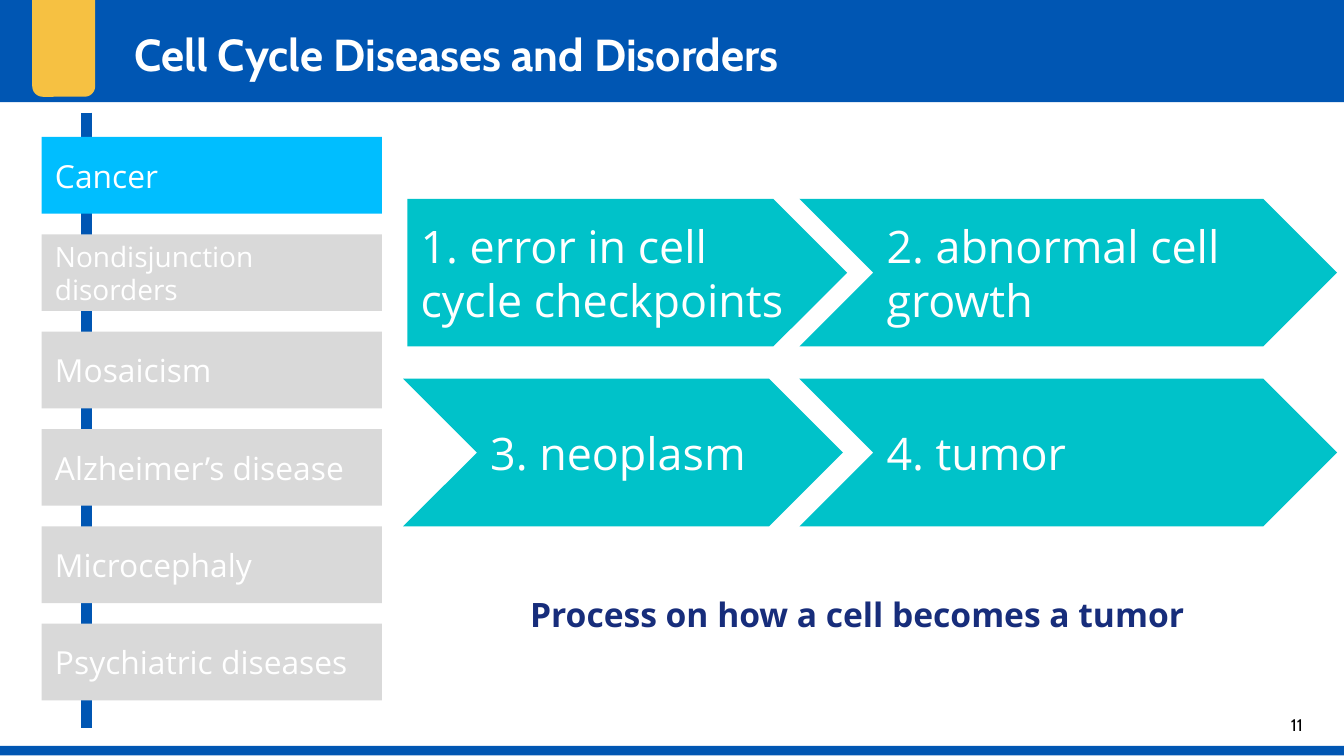
from dataclasses import dataclass

from lxml import etree
from pptx import Presentation
from pptx.dml.color import RGBColor
from pptx.enum.shapes import MSO_CONNECTOR, MSO_SHAPE
from pptx.enum.text import MSO_ANCHOR, MSO_AUTO_SIZE, PP_ALIGN
from pptx.oxml.ns import qn
from pptx.util import Cm, Pt

RECTANGLE = MSO_SHAPE.RECTANGLE
ROUNDED = MSO_SHAPE.ROUNDED_RECTANGLE
PENTAGON = MSO_SHAPE.PENTAGON
CHEVRON = MSO_SHAPE.CHEVRON
STRAIGHT = MSO_CONNECTOR.STRAIGHT
LEFT, CENTER = PP_ALIGN.LEFT, PP_ALIGN.CENTER
TOP, MIDDLE = MSO_ANCHOR.TOP, MSO_ANCHOR.MIDDLE


@dataclass(frozen=True)
class Theme:
    heading_font: str = "Cabin"
    body_font: str = "Open Sans"
    blue: str = "0056B3"
    yellow: str = "F6C142"
    active: str = "00BEFF"
    inactive: str = "D9D9D9"
    teal: str = "00C2C9"
    navy: str = "172D7B"
    white: str = "FFFFFF"
    black: str = "000000"
    title_size: int = 24
    step_size: int = 24
    caption_size: int = 18
    topic_size: int = 17
    long_topic_size: int = 15
    number_size: int = 9


@dataclass(frozen=True)
class Area:
    """Left, top, width and height in centimetres."""
    left: float
    top: float
    width: float
    height: float

    def lengths(self) -> tuple:
        return Cm(self.left), Cm(self.top), Cm(self.width), Cm(self.height)


@dataclass(frozen=True)
class Style:
    size: int
    color: str
    font: str
    bold: bool = False
    align: PP_ALIGN = LEFT
    anchor: MSO_ANCHOR = MIDDLE


@dataclass(frozen=True)
class Topic:
    name: str
    fill: str
    size: int


@dataclass(frozen=True)
class Step:
    label: str
    kind: MSO_SHAPE
    left: float
    row: int
    width: float


THEME = Theme()
INSET = Cm(0.25)

TOPIC_AREA = Area(0.79, 2.59, 6.43, 1.45)
TOPIC_PITCH = 1.84
TOPICS = [
    Topic("Cancer", THEME.active, THEME.topic_size),
    Topic("Nondisjunction disorders", THEME.inactive, THEME.long_topic_size),
    Topic("Mosaicism", THEME.inactive, THEME.topic_size),
    Topic("Alzheimer’s disease", THEME.inactive, THEME.topic_size),
    Topic("Microcephaly", THEME.inactive, THEME.topic_size),
    Topic("Psychiatric diseases", THEME.inactive, THEME.topic_size),
]

STEP_TOP, STEP_HEIGHT, STEP_PITCH = 3.76, 2.79, 3.4
STEPS = [
    Step("1. error in cell cycle checkpoints", PENTAGON, 7.7, 0, 8.31),
    Step("2. abnormal cell growth", CHEVRON, 15.11, 0, 10.16),
    Step("3. neoplasm", CHEVRON, 7.62, 1, 8.31),
    Step("4. tumor", CHEVRON, 15.11, 1, 10.16),
]


def write(shape, text: str, style: Style) -> None:
    frame = shape.text_frame
    frame.text = text
    frame.word_wrap = True
    frame.auto_size = MSO_AUTO_SIZE.NONE
    frame.vertical_anchor = style.anchor
    frame.margin_left = frame.margin_right = INSET
    frame.margin_top = frame.margin_bottom = INSET
    para = frame.paragraphs[0]
    para.alignment = style.align
    for span in para.runs:
        span.font.name = style.font
        span.font.size = Pt(style.size)
        span.font.bold = style.bold
        span.font.color.rgb = RGBColor.from_string(style.color)


def add_block(page, kind: MSO_SHAPE, area: Area, fill: str):
    block = page.shapes.add_shape(kind, *area.lengths())
    block.shadow.inherit = False
    block.fill.solid()
    block.fill.fore_color.rgb = RGBColor.from_string(fill)
    block.line.fill.background()
    return block


def add_text(page, area: Area, text: str, style: Style):
    box = page.shapes.add_textbox(*area.lengths())
    write(box, text, style)
    return box


def add_title(page, area: Area, text: str) -> None:
    title = page.shapes.title
    title.left, title.top, title.width, title.height = area.lengths()
    write(title, text, Style(THEME.title_size, THEME.white, THEME.heading_font,
                             bold=True, anchor=TOP))
    # Bring the title in front of the header band
    page.shapes._spTree.append(title._element)


def add_spine(page, x: float, top: float, bottom: float) -> None:
    spine = page.shapes.add_connector(STRAIGHT, Cm(x), Cm(top), Cm(x), Cm(bottom))
    spine.line.color.rgb = RGBColor.from_string(THEME.blue)
    spine.line.width = Pt(6)
    etree.SubElement(spine._element.spPr, qn("a:effectLst"))


def add_topic(page, index: int, topic: Topic) -> None:
    area = Area(TOPIC_AREA.left, TOPIC_AREA.top + index * TOPIC_PITCH,
                TOPIC_AREA.width, TOPIC_AREA.height)
    block = add_block(page, RECTANGLE, area, topic.fill)
    write(block, topic.name, Style(topic.size, THEME.white, THEME.body_font))


def add_step(page, step: Step) -> None:
    area = Area(step.left, STEP_TOP + step.row * STEP_PITCH, step.width, STEP_HEIGHT)
    block = add_block(page, step.kind, area, THEME.teal)
    write(block, step.label, Style(THEME.step_size, THEME.white, THEME.body_font))


def main() -> None:
    deck = Presentation()
    deck.slide_width, deck.slide_height = Cm(25.4), Cm(14.29)
    page = deck.slides.add_slide(deck.slide_layouts[5])

    # Header, tab and footer
    add_block(page, RECTANGLE, Area(-0.03, -0.03, 25.43, 1.96), THEME.blue)
    add_block(page, ROUNDED, Area(0.61, -0.3, 1.19, 2.13), THEME.yellow)
    add_block(page, RECTANGLE, Area(-0.03, 14.1, 25.43, 0.18), THEME.blue)
    add_text(page, Area(23.75, 13.16, 1.52, 1.09), "11",
             Style(THEME.number_size, THEME.black, THEME.heading_font, align=CENTER))
    add_title(page, Area(2.29, 0.25, 18.34, 1.45), "Cell Cycle Diseases and Disorders")

    # Caption below the process
    caption = add_text(page, Area(9.37, 11, 13.67, 1.09),
                       "Process on how a cell becomes a tumor",
                       Style(THEME.caption_size, THEME.navy, THEME.body_font,
                             bold=True, align=CENTER))
    caption.text_frame.paragraphs[0].line_spacing = 1.15

    # Topic list on its spine
    add_spine(page, 1.63, 2.13, 13.77)
    for index, topic in enumerate(TOPICS):
        add_topic(page, index, topic)

    # Process steps
    for step in STEPS:
        add_step(page, step)

    deck.save("out.pptx")


if __name__ == "__main__":
    main()
